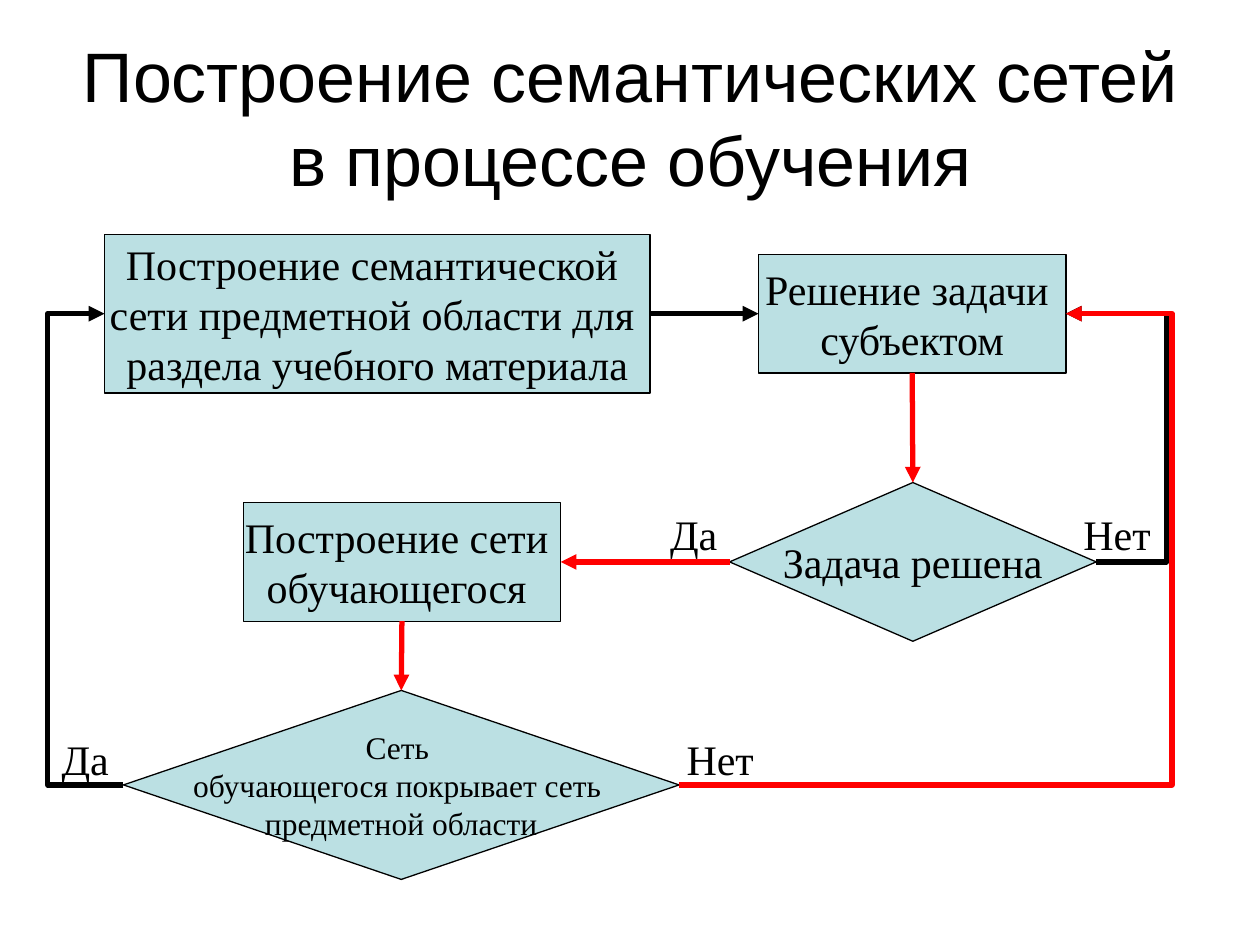
from lxml import etree
from pptx import Presentation
from pptx import util as u
from pptx.dml.color import RGBColor
from pptx.enum import shapes, text
from pptx.oxml.ns import qn

COLORS = {"ink": "000000", "box": "BBE0E3", "red": "FF0000"}
STEP = shapes.MSO_SHAPE.FLOWCHART_PROCESS
TEST = shapes.MSO_SHAPE.FLOWCHART_DECISION
TOP, LEFT, BOTTOM, RIGHT = range(4)


def color(name):
    return RGBColor.from_string(COLORS[name])


def write(frame, words, size=24, font="Times New Roman", align="CENTER",
          anchor="MIDDLE", wrap=False):
    """Fill a text frame, one paragraph per line of words."""
    frame.text = words
    frame.word_wrap = wrap
    frame.vertical_anchor = getattr(text.MSO_ANCHOR, anchor)
    for para in frame.paragraphs:
        para.alignment = getattr(text.PP_ALIGN, align)
        para.font.size = u.Pt(size)
        para.font.name = font
        para.font.color.rgb = color("ink")


class Chart:
    """Flow chart style and the slide it is drawn on."""

    def __init__(self, slide):
        self.slide = slide
        self.edge = u.Pt(0.75)
        self.stroke = u.Pt(3)

    def title(self, words):
        head = self.slide.shapes.title
        head.left, head.top = u.Inches(0.5), u.Inches(0.3)
        head.width, head.height = u.Inches(9), u.Inches(1.25)
        write(head.text_frame, words, size=40, font="Arial", wrap=True)

    def node(self, kind, place, words, size=24):
        shape = self.slide.shapes.add_shape(kind, *map(u.Inches, place))
        shape.shadow.inherit = False
        shape.fill.solid()
        shape.fill.fore_color.rgb = color("box")
        shape.line.color.rgb = color("ink")
        shape.line.width = self.edge
        write(shape.text_frame, words, size=size)
        return shape

    def arrow(self, start, end, tint="ink", bend=None):
        """Join two (node, side) pairs; bend is the x of the middle leg."""
        kind = shapes.MSO_CONNECTOR.STRAIGHT
        if bend is not None:
            kind = shapes.MSO_CONNECTOR.ELBOW
        link = self.slide.shapes.add_connector(kind, 0, 0, 0, 0)
        link.begin_connect(*start)
        link.end_connect(*end)
        link.line.color.rgb = color(tint)
        link.line.width = self.stroke
        props = link._element.spPr
        etree.SubElement(props.find(qn("a:ln")), qn("a:tailEnd"), type="triangle")
        etree.SubElement(props, qn("a:effectLst"))
        if bend is not None:
            span = link.end_x - link.begin_x
            ratio = round((u.Inches(bend) - link.begin_x) / span * 100000)
            geom = props.find(qn("a:prstGeom"))
            guides = geom.find(qn("a:avLst"))
            if guides is None:
                guides = etree.SubElement(geom, qn("a:avLst"))
            etree.SubElement(guides, qn("a:gd"), name="adj1", fmla=f"val {ratio}")

    def label(self, left, top, width, words):
        place = map(u.Inches, (left, top, width, 0.5))
        frame = self.slide.shapes.add_textbox(*place).text_frame
        write(frame, words, align="LEFT", anchor="TOP")
        frame.auto_size = text.MSO_AUTO_SIZE.SHAPE_TO_FIT_TEXT


def main():
    deck = Presentation()
    deck.slide_width, deck.slide_height = u.Inches(10), u.Inches(7.5)
    chart = Chart(deck.slides.add_slide(deck.slide_layouts[5]))
    chart.title("Построение семантических сетей в процессе обучения")

    topic = chart.node(STEP, (0.83, 1.86, 4.33, 1.26),
                       "Построение семантической \n"
                       "сети предметной области для \n"
                       "раздела учебного материала")
    solved = chart.node(TEST, (5.79, 3.83, 2.91, 1.26), "Задача решена")
    task = chart.node(STEP, (6.02, 2.02, 2.44, 0.94),
                      "Решение задачи \nсубъектом")
    learner = chart.node(STEP, (1.93, 3.99, 2.52, 0.94),
                         "Построение сети \nобучающегося ")
    covered = chart.node(TEST, (0.98, 5.48, 4.41, 1.5),
                         "Сеть \nобучающегося покрывает сеть \n"
                         "предметной области", size=18)

    chart.arrow((topic, RIGHT), (task, LEFT))
    chart.arrow((task, BOTTOM), (solved, TOP), "red")
    chart.arrow((solved, LEFT), (learner, RIGHT), "red")
    chart.arrow((solved, RIGHT), (task, RIGHT), bend=9.26)
    chart.arrow((learner, BOTTOM), (covered, TOP), "red")
    chart.arrow((covered, LEFT), (topic, LEFT), bend=0.38)
    chart.arrow((covered, RIGHT), (task, RIGHT), "red", bend=9.3)

    for top, yes, no in ((5.77, 0.39, 5.35), (3.99, 5.22, 8.5)):
        chart.label(yes, top, 0.61, "Да")
        chart.label(no, top, 0.82, "Нет")

    deck.save("out.pptx")


if __name__ == "__main__":
    main()
